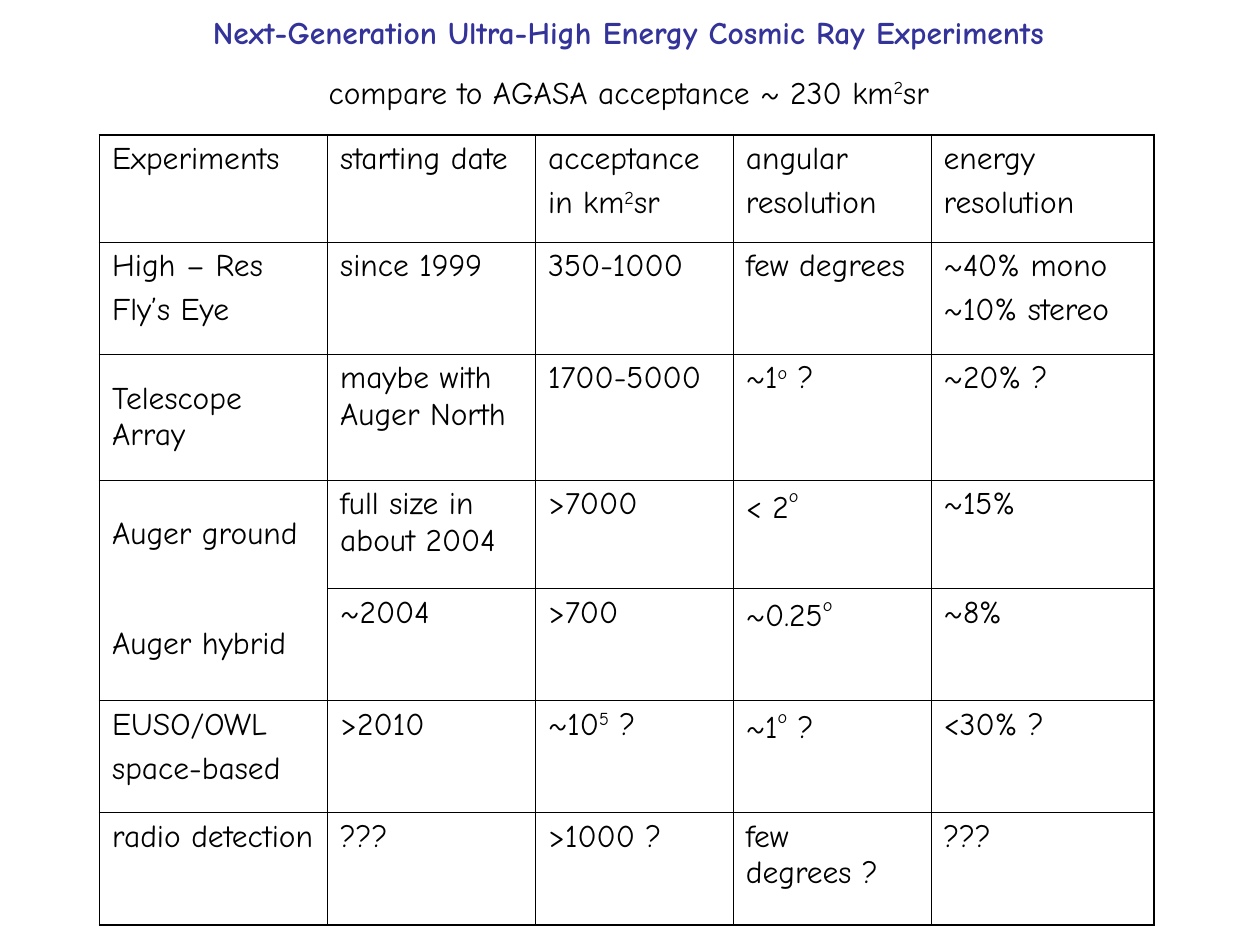
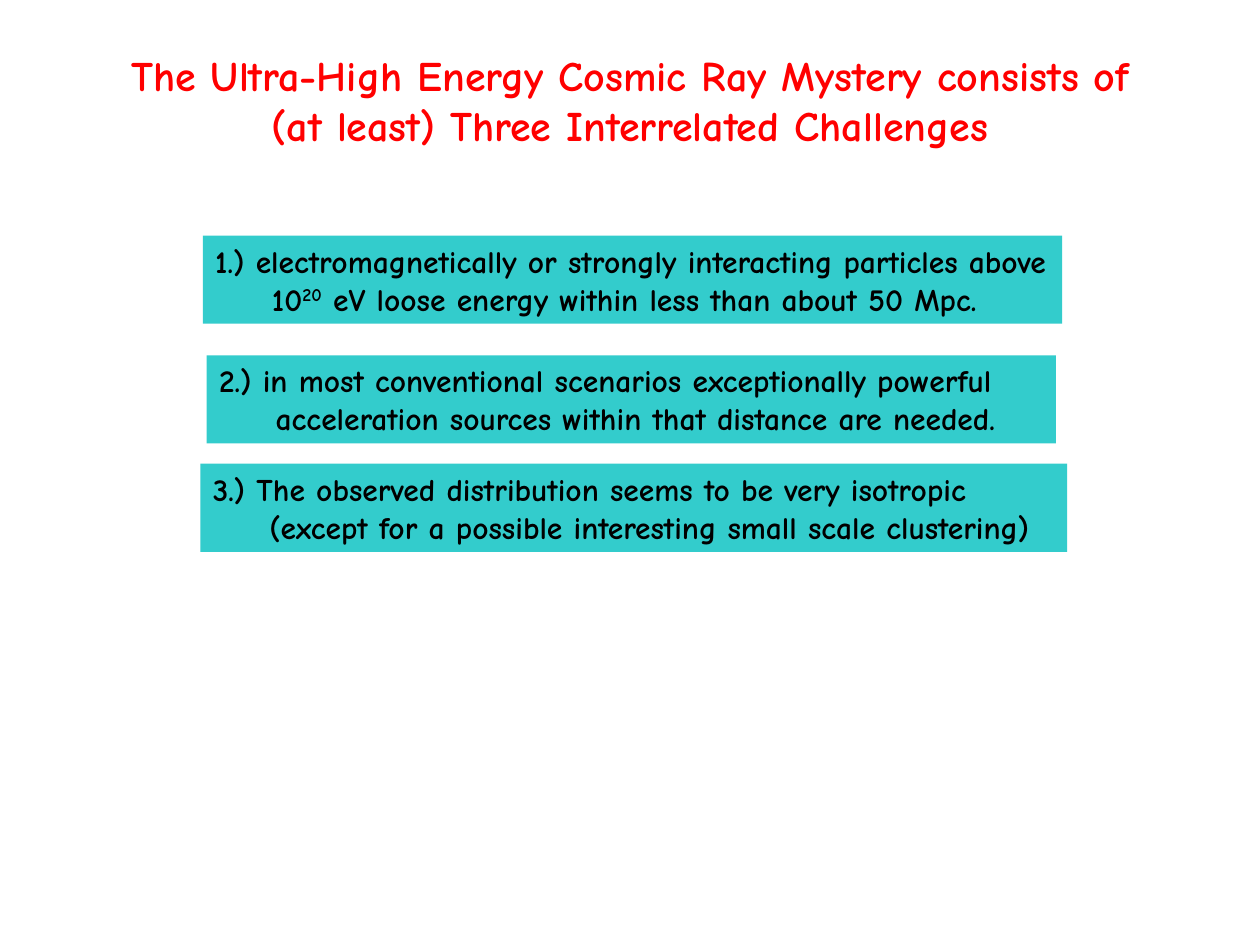
from lxml import etree
from pptx import Presentation
from pptx.dml.color import RGBColor
from pptx.enum.shapes import MSO_SHAPE
from pptx.enum.text import MSO_ANCHOR, MSO_AUTO_SIZE, PP_ALIGN
from pptx.oxml.ns import qn
from pptx.util import Inches, Pt

RECTANGLE = MSO_SHAPE.RECTANGLE
TOP, MIDDLE = MSO_ANCHOR.TOP, MSO_ANCHOR.MIDDLE
LEFT, CENTER = PP_ALIGN.LEFT, PP_ALIGN.CENTER
NO_AUTOFIT = MSO_AUTO_SIZE.NONE

WIDTH, HEIGHT = Inches(10), Inches(7.5)
COLUMN, ROW = WIDTH / 100, HEIGHT / 75
FONT = "Comic Neue"
BLACK, BLUE, RED, TEAL = "000000", "333399", "FF0000", "33CCCC"
FRAME_FORMAT = {"word_wrap": True, "auto_size": NO_AUTOFIT, "vertical_anchor": TOP}
THICK, THIN = 1.08, 0.45

COLUMN_SPANS = [18.1, 16.5, 15.7, 15.7, 17.7]
ROW_SPANS = [8.5, 8.9, 10, 8.6, 8.9, 8.9, 8.9]
EXPERIMENTS = [
    ["Experiments", "starting date", "acceptance\nin km|30:2|sr",
     "angular\nresolution", "energy\nresolution"],
    ["High – Res\nFly’s Eye", "since 1999", "350-1000", "few degrees",
     "~40% mono\n~10% stereo"],
    ["Telescope Array", "maybe with Auger North", "1700-5000", "~1|30:o| ?", "~20% ?"],
    ["Auger ground", "full size in about 2004", ">7000", "< 2|50:o|", "~15%"],
    ["Auger hybrid", "~2004", ">700", "~0.25|50:o|", "~8%"],
    ["EUSO/OWL\nspace-based", ">2010", "~10|30:5| ?", "~1|50:o| ?", "<30% ?"],
    ["radio detection", "???", ">1000 ?", "few degrees ?", "???"],
]
CENTRED_NAMES = ("Telescope Array", "Auger ground", "Auger hybrid")
AUGER_GROUND, AUGER_HYBRID = 3, 4

CHALLENGES = [
    ((16.1, 18.7, 68.2, 7),
     "1.) electromagnetically or strongly interacting particles above\n"
     "10|30:20| eV loose energy within less than about 50 Mpc."),
    ((16.4, 28.2, 67.4, 7),
     "2.) in most conventional scenarios exceptionally powerful\n"
     "acceleration sources within that distance are needed."),
    ((15.9, 36.8, 68.8, 7),
     "3.) The observed distribution seems to be very isotropic\n"
     "(except for a possible interesting small scale clustering)"),
]


def color(value):
    """Return the colour for a hex string."""
    return RGBColor.from_string(value)


def assign(target, values):
    """Set every attribute in values on target."""
    for name, value in values.items():
        setattr(target, name, value)


def grid_box(left, top, width, height):
    """Turn grid columns and rows into slide lengths."""
    return [round(n) for n in (left * COLUMN, top * ROW, width * COLUMN, height * ROW)]


def write(frame, text, size=18, ink=BLACK, bold=False, align=LEFT, gap=0, indent=0):
    """Write lines into a frame, raising each part marked |percent:text|."""
    for index, line in enumerate(text.split("\n")):
        paragraph = frame.add_paragraph() if index else frame.paragraphs[0]
        assign(paragraph, {"alignment": align, "space_before": Pt(gap if index else 0)})
        if index and indent:
            paragraph._p.get_or_add_pPr().set("marL", str(Inches(indent)))
        for position, part in enumerate(line.split("|")):
            if not part:
                continue
            raised = position % 2
            level, words = part.split(":") if raised else ("0", part)
            run = paragraph.add_run()
            run.text = words
            assign(run.font, {"name": FONT, "size": Pt(size), "bold": bold})
            run.font.color.rgb = color(ink)
            if raised:
                run.font._element.set("baseline", level + "000")


def add_titled_slide(deck, box, title, **text_format):
    """Add a title-only slide with its title placed in the box."""
    slide = deck.slides.add_slide(deck.slide_layouts[5])
    heading = slide.shapes.title
    assign(heading, dict(zip(("left", "top", "width", "height"), grid_box(*box))))
    assign(heading.text_frame, FRAME_FORMAT)
    write(heading.text_frame, title, bold=True, **text_format)
    return slide


def set_borders(cell, widths):
    """Draw the cell's sides, leaving out those of zero width."""
    properties = cell._tc.get_or_add_tcPr()
    for side in "LRTB":
        line = etree.SubElement(properties, qn(f"a:ln{side}"), w=str(Pt(widths[side])))
        if widths[side]:
            fill = etree.SubElement(line, qn("a:solidFill"))
            etree.SubElement(fill, qn("a:srgbClr"), val=BLACK)
        else:
            etree.SubElement(line, qn("a:noFill"))


def border_widths(row, column):
    """Give thick outer sides, thin inner ones and none inside the Auger pair."""
    last_row, last_column = len(ROW_SPANS) - 1, len(COLUMN_SPANS) - 1
    widths = {
        "L": THIN if column else THICK,
        "R": THICK if column == last_column else THIN,
        "T": THIN if row else THICK,
        "B": THICK if row == last_row else THIN,
    }
    if column == 0 and row == AUGER_GROUND:
        widths["B"] = 0
    if column == 0 and row == AUGER_HYBRID:
        widths["T"] = 0
    return widths


def add_experiment_table(slide, left, top):
    """Add the experiment comparison with its corner at left, top."""
    box = grid_box(left, top, sum(COLUMN_SPANS), sum(ROW_SPANS))
    table = slide.shapes.add_table(len(ROW_SPANS), len(COLUMN_SPANS), *box).table
    assign(table, {"first_row": False, "horz_banding": False})
    for column, span in zip(table.columns, COLUMN_SPANS):
        column.width = round(span * COLUMN)
    for row, span in zip(table.rows, ROW_SPANS):
        row.height = round(span * ROW)
    for r, entries in enumerate(EXPERIMENTS):
        for c, entry in enumerate(entries):
            cell = table.cell(r, c)
            cell.vertical_anchor = MIDDLE if entry in CENTRED_NAMES else TOP
            set_borders(cell, border_widths(r, c))
            cell.fill.background()
            write(cell.text_frame, entry, gap=4.5)


def add_challenge(slide, box, text):
    """Add one challenge as a filled panel."""
    panel = slide.shapes.add_shape(RECTANGLE, *grid_box(*box))
    panel.shadow.inherit = False
    panel.fill.solid()
    panel.fill.fore_color.rgb = color(TEAL)
    panel.line.fill.background()
    assign(panel.text_frame, FRAME_FORMAT)
    write(panel.text_frame, text, bold=True, indent=0.45)


def build_experiments(deck):
    """Build the slide comparing the experiments."""
    slide = add_titled_slide(
        deck, (15.9, 0.5, 69, 4),
        "Next-Generation Ultra-High Energy Cosmic Ray Experiments", ink=BLUE)
    add_experiment_table(slide, 7.9, 10.7)
    reference = slide.shapes.add_textbox(*grid_box(25.1, 5.3, 51, 4))
    assign(reference.text_frame, FRAME_FORMAT)
    write(reference.text_frame, "compare to AGASA acceptance ~ 230 km|30:2|sr")


def build_challenges(deck):
    """Build the slide listing the three challenges."""
    slide = add_titled_slide(
        deck, (9, 3.4, 82, 9),
        "The Ultra-High Energy Cosmic Ray Mystery consists of\n"
        "(at least) Three Interrelated Challenges",
        size=24, ink=RED, align=CENTER)
    for box, text in CHALLENGES:
        add_challenge(slide, box, text)


def main():
    """Build and save the deck."""
    deck = Presentation()
    assign(deck, {"slide_width": WIDTH, "slide_height": HEIGHT})
    build_experiments(deck)
    build_challenges(deck)
    deck.save("out.pptx")


if __name__ == "__main__":
    main()
